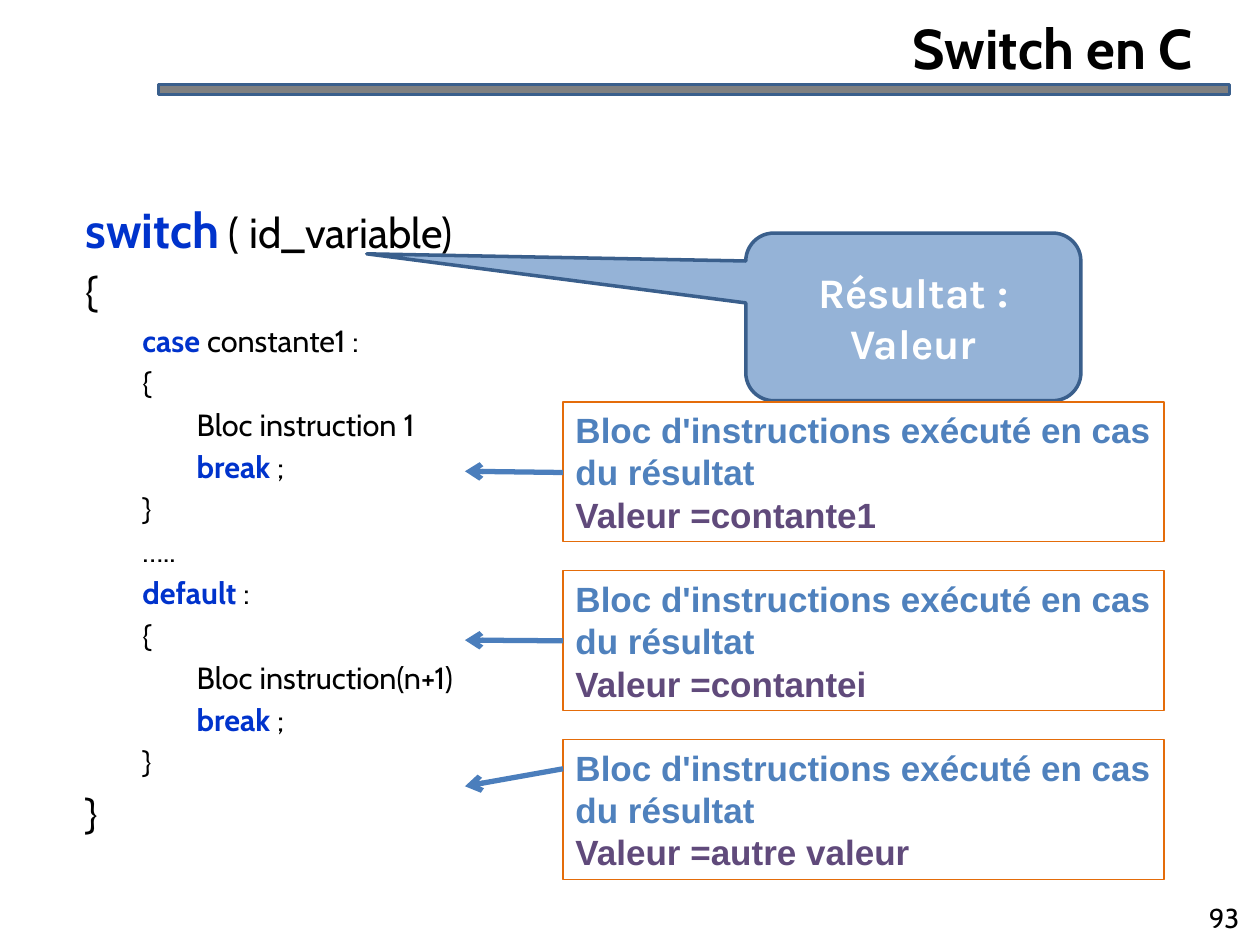
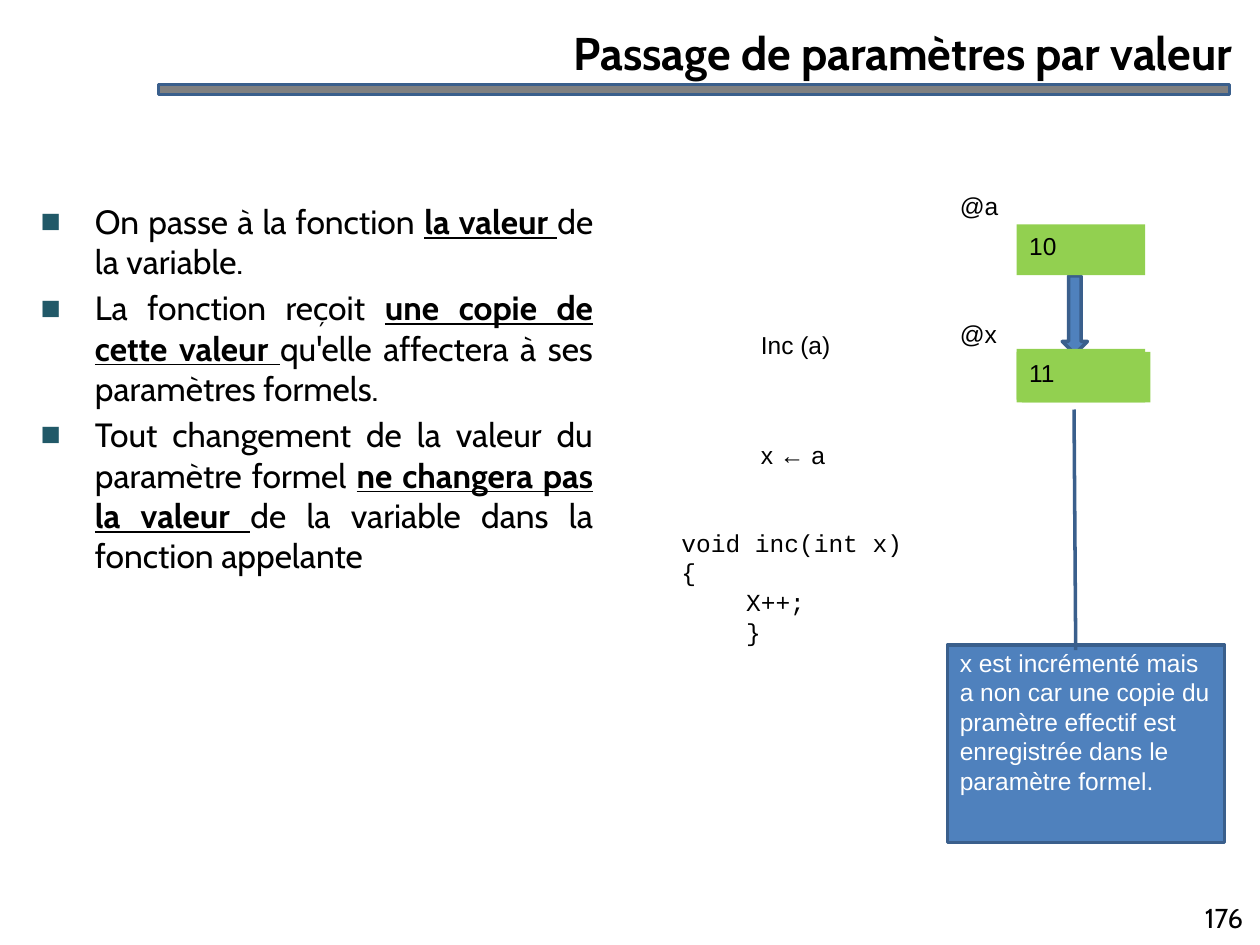
from dataclasses import dataclass

from lxml import etree
from pptx import Presentation
from pptx.dml.color import RGBColor
from pptx.enum.shapes import MSO_CONNECTOR, MSO_SHAPE
from pptx.enum.text import MSO_ANCHOR, MSO_AUTO_SIZE, PP_ALIGN
from pptx.oxml.ns import qn
from pptx.util import Pt

RECT, DOWN = MSO_SHAPE.RECTANGLE, MSO_SHAPE.DOWN_ARROW
BUBBLE, CALLOUT = MSO_SHAPE.ROUNDED_RECTANGULAR_CALLOUT, MSO_SHAPE.LINE_CALLOUT_1
LEFT, RIGHT = PP_ALIGN.LEFT, PP_ALIGN.RIGHT
MID, JUST = PP_ALIGN.CENTER, PP_ALIGN.JUSTIFY
TOP, CENTER = MSO_ANCHOR.TOP, MSO_ANCHOR.MIDDLE


@dataclass(frozen=True)
class Theme:
    head: str = "Cabin"
    sans: str = "Arial"
    bubble: str = "Karla"
    code: str = "Courier New"
    black: str = "000000"
    white: str = "FFFFFF"
    gray: str = "808080"
    edge: str = "3A5F8C"
    blue: str = "4F81BD"
    arrow: str = "4B7EBC"
    pale: str = "95B3D7"
    key: str = "0033CC"
    orange: str = "E46C0A"
    purple: str = "604A7B"
    green: str = "92D050"
    teal: str = "215968"
    big: float = 28
    mid: float = 24
    note: float = 20
    list: float = 19.2
    small: float = 17.5
    page: float = 15.6
    label: float = 14


T = Theme()
LEAD = 1.21   # line height of fixed-pitch text
GAP = 0.18    # space before, as a share of type size
HANG = 31
DEEP = 63.4

# Words between asterisks are stressed.
SWITCH = [
    (0, "*switch* ( id_variable)"),
    (0, "{"),
    (1, "*case* constante1 :"),
    (1, "{"),
    (1, "\tBloc instruction 1"),
    (1, "\t*break* ;"),
    (1, "}"),
    (1, "….."),
    (1, "*default* :"),
    (1, "{"),
    (1, "\tBloc instruction(n+1)"),
    (1, "\t*break* ;"),
    (1, "}"),
    (0, "}"),
]
RESULT = ["Résultat :", "Valeur"]
CASE = "Bloc d'instructions exécuté en cas du résultat"
CASES = [  # value, arrow start and end below the top of the box
    ("Valeur =contante1", 40.3, 39.6),
    ("Valeur =contantei", 40, 39.6),
    ("Valeur =autre valeur", 16.6, 26.6),
]
POINTS = [
    "On passe à la fonction *la valeur *de la variable.",
    "La fonction reçoit *une copie de cette valeur *"
    "qu'elle affectera à ses paramètres formels.",
    "Tout changement de la valeur du paramètre formel "
    "*ne changera pas la valeur *de la variable dans la fonction appelante",
]
LABELS = [
    ("@a", 541.4, 105.8, 40),
    ("@x", 541.4, 178.6, 40),
    ("Inc (a)", 427.7, 185, 113),
    ("x ← a", 427.7, 247.7, 57),
]
CELLS = [("10", 581, 128.2), ("", 581, 199.4), ("", 584, 201), ("11", 581, 201)]
CODE = [(0, "void inc(int x)"), (0, "{"), (37, "X++;"), (37, "}")]
REMARK = ("x est incrémenté mais a non car une copie du pramètre effectif "
          "est enregistrée dans le paramètre formel.")


def rgb(code):
    return RGBColor.from_string(code)


def style(font, name, size, color, bold=False):
    font.name, font.size, font.bold = name, Pt(size), bold
    font.color.rgb = rgb(color)


def place(shape, box):
    shape.left, shape.top, shape.width, shape.height = map(Pt, box)


def write(shape, lines, name, size, color, bold=False, align=LEFT, anchor=TOP):
    frame = shape.text_frame
    frame.word_wrap, frame.vertical_anchor = True, anchor
    frame.text = "\n".join(lines)
    for para in frame.paragraphs:
        para.alignment = align
        para.line_spacing = Pt(round(size * LEAD, 1))
        for run in para.runs:
            style(run.font, name, size, color, bold)
    return frame.paragraphs


def label(slide, box, lines, name, size, color, **more):
    shape = slide.shapes.add_textbox(*map(Pt, box))
    return write(shape, lines, name, size, color, **more)


def draw(slide, kind, box, fill=None, edge=None, width=2, adjust=()):
    shape = slide.shapes.add_shape(kind, *map(Pt, box))
    shape.shadow.inherit = False
    if fill:
        shape.fill.solid()
        shape.fill.fore_color.rgb = rgb(fill)
    else:
        shape.fill.background()
    if edge:
        shape.line.color.rgb, shape.line.width = rgb(edge), Pt(width)
    else:
        shape.line.fill.background()
    for i, value in enumerate(adjust):
        shape.adjustments[i] = value
    return shape


def link(slide, start, end):
    line = slide.shapes.add_connector(
        MSO_CONNECTOR.STRAIGHT, *map(Pt, start + end))
    line.line.color.rgb, line.line.width = rgb(T.arrow), Pt(3)
    props = line._element.spPr
    etree.SubElement(props.find(qn("a:ln")), qn("a:tailEnd"), type="arrow")
    etree.SubElement(props, qn("a:effectLst"))


def indent(para, margin, first=0, bullet=None):
    props = para._p.get_or_add_pPr()
    props.set("marL", str(Pt(margin)))
    props.set("indent", str(Pt(first)))
    if bullet:
        tint = etree.SubElement(props, qn("a:buClr"))
        etree.SubElement(tint, qn("a:srgbClr"), val=T.teal)
        etree.SubElement(props, qn("a:buFont"), typeface=T.sans)
        etree.SubElement(props, qn("a:buChar"), char=bullet)
    else:
        etree.SubElement(props, qn("a:buNone"))


def stress(para, text):
    """Add the runs of text and yield each with whether it is stressed."""
    for i, part in enumerate(text.split("*")):
        if part:
            run = para.add_run()
            run.text = part
            yield run, i % 2 == 1


def start(deck, title, box, size, number):
    """Add a slide with title, band and page number; return it and its body."""
    slide = deck.slides.add_slide(deck.slide_layouts[1])
    draw(slide, RECT, (90.7, 48.2, 612, 5.8), T.gray, T.edge)
    head = slide.shapes.title
    place(head, box)
    write(head, [title], T.head, size, T.black, bold=True, align=RIGHT)
    head.text_frame.auto_size = MSO_AUTO_SIZE.NONE
    label(slide, (679, 511.2, 41, 28.8), [number], T.head, T.page, T.black,
          align=MID)
    return slide, slide.placeholders[1]


def fill_body(body, box, count):
    place(body, box)
    frame = body.text_frame
    frame.auto_size, frame.word_wrap = MSO_AUTO_SIZE.NONE, True
    frame.vertical_anchor = TOP
    frame.margin_left = frame.margin_right = Pt(3)
    frame.margin_top = frame.margin_bottom = Pt(3)
    for _ in range(count - 1):
        frame.add_paragraph()
    return frame.paragraphs


def switch_slide(deck):
    slide, body = start(deck, "Switch en C", (17.3, 3.6, 671.8, 62.6), 32, "93")
    paras = fill_body(body, (46, 111, 612, 360), len(SWITCH))
    for i, (para, (level, text)) in enumerate(zip(paras, SWITCH)):
        para.level = level
        indent(para, DEEP if level else HANG, -HANG)
        size = T.small if level else T.mid
        para.space_before = Pt(round(size * GAP, 1) if i else 0)
        for run, key in stress(para, text):
            style(run.font, T.head, T.big if key and not level else size,
                  T.key if key else T.black, key)

    bubble = draw(slide, BUBBLE, (426.2, 133.2, 191.5, 95.8), T.pale, T.edge,
                  adjust=(-1.631, -0.376, 0.167))
    write(bubble, RESULT, T.bubble, T.mid, T.white, bold=True, align=MID,
          anchor=CENTER)

    left, top, pitch = 321.8, 229.7, 96.5
    for i, (value, out, end) in enumerate(CASES):
        y = top + i * pitch
        box = draw(slide, RECT, (left, y, 343.4, 80), edge=T.orange, width=0.75)
        paras = write(box, [CASE, value], T.sans, T.note, T.blue, bold=True)
        paras[1].runs[0].font.color.rgb = rgb(T.purple)
        link(slide, (left, y + out), (265.7, y + end))


def value_slide(deck):
    slide, body = start(deck, "Passage de paramètres par valeur",
                        (-8.6, 10, 720, 90), 26.2, "176")
    paras = fill_body(body, (20.2, 111.6, 321.8, 360), len(POINTS))
    for i, (para, text) in enumerate(zip(paras, POINTS)):
        indent(para, HANG, -HANG, "■")
        para.alignment = JUST
        para.space_before = Pt(round(T.list * GAP, 1) if i else 0)
        for run, strong in stress(para, text):
            style(run.font, T.head, T.list, T.black, strong)
            run.font.underline = strong

    for text, x, y, width in LABELS:
        label(slide, (x, y, width, 28.8), [text], T.sans, T.label, T.black)
    draw(slide, DOWN, (607, 157.7, 14.4, 44.6), T.blue, T.edge)
    for text, x, y in CELLS:
        cell = draw(slide, RECT, (x, y, 73.4, 29), T.green)
        if text:
            write(cell, [text], T.sans, T.label, T.black)

    paras = label(slide, (382.3, 298, 198.7, 94.3), [text for _, text in CODE],
                  T.code, T.label, T.black)
    for para, (margin, _) in zip(paras, CODE):
        indent(para, margin)

    draw(slide, CALLOUT, (541.4, 368.6, 158.4, 113), T.blue, T.edge,
         adjust=(0.026, 0.463, -1.191, 0.457))
    label(slide, (541.4, 366.5, 158.4, 116.6), [REMARK], T.sans, T.label,
          T.white)


def main():
    deck = Presentation()
    deck.slide_width, deck.slide_height = Pt(720), Pt(540)
    switch_slide(deck)
    value_slide(deck)
    deck.save("out.pptx")


if __name__ == "__main__":
    main()
